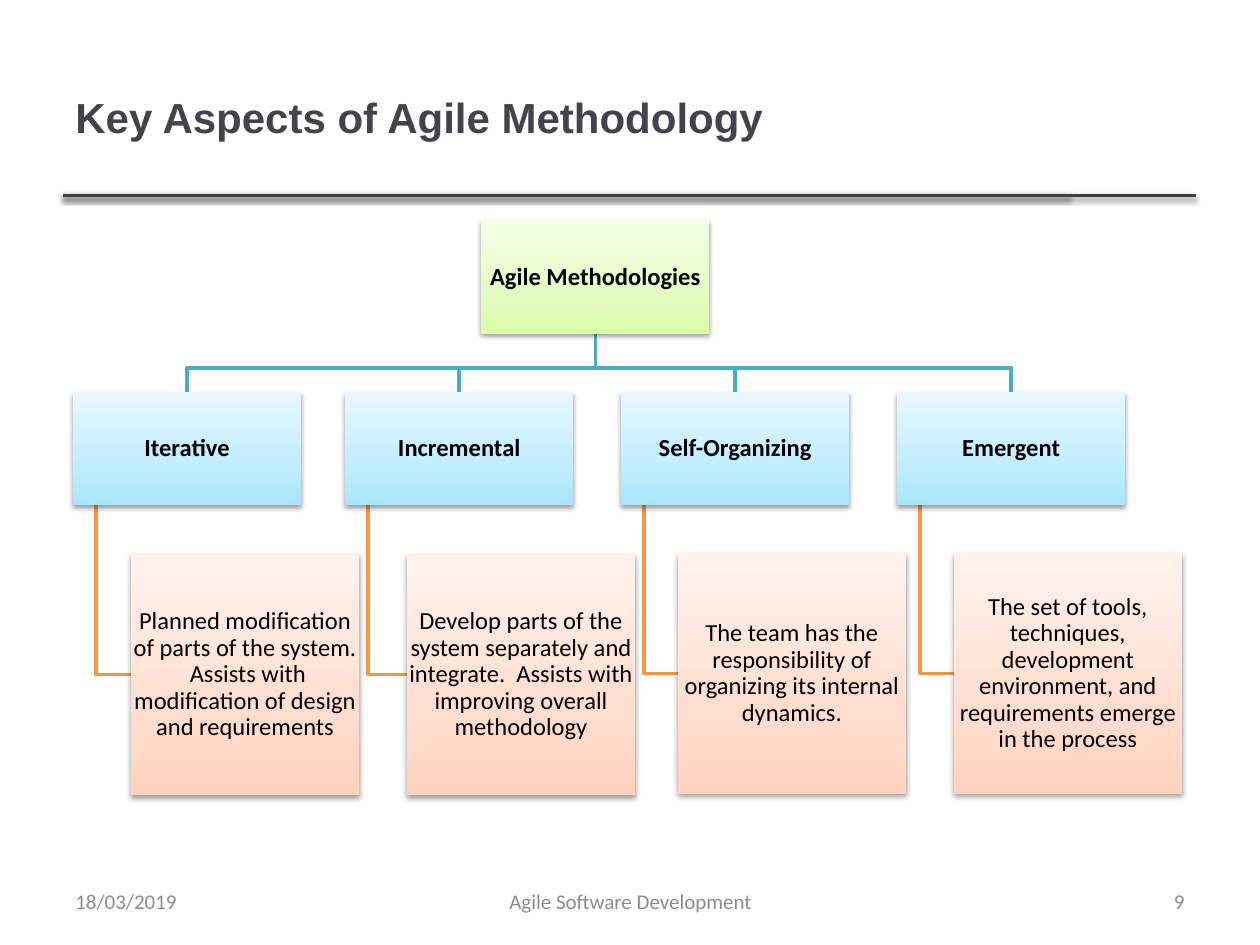
import copy
from dataclasses import dataclass

import pptx
import pptx.dml.color
import pptx.enum.shapes
import pptx.enum.text
import pptx.oxml
import pptx.oxml.ns
import pptx.util
from pptx.util import Inches

ALIGN = pptx.enum.text.PP_ALIGN


@dataclass(frozen=True)
class Theme:
    title_font: str = "Arial"
    body_font: str = "Calibri"
    title_size: float = 24
    box_size: float = 14
    footer_size: float = 12
    line_width: float = 2
    title: str = "46424D"
    text: str = "000000"
    footer: str = "8C8C8C"
    rule: str = "404040"
    aspect_link: str = "4BACC6"
    detail_link: str = "F79646"
    root_fill: tuple[str, ...] = ("DAFDA7", "E4FCC2", "F5FFE7")
    aspect_fill: tuple[str, ...] = ("A7E6FF", "C1EDFF", "E7F8FF")
    detail_fill: tuple[str, ...] = ("FFD2BD", "FFDED0", "FFF2ED")
    stops: tuple[float, ...] = (0, 0.35, 1)


@dataclass(frozen=True)
class Box:
    left: float
    top: float
    width: float
    height: float

    @property
    def center(self) -> float:
        return self.left + self.width / 2

    @property
    def middle(self) -> float:
        return self.top + self.height / 2

    @property
    def bottom(self) -> float:
        return self.top + self.height

    def lengths(self) -> tuple:
        return tuple(Inches(n) for n in (self.left, self.top, self.width, self.height))


@dataclass(frozen=True)
class Aspect:
    name: str
    detail: str
    left: float
    detail_left: float
    detail_top: float

    @property
    def box(self) -> Box:
        return Box(self.left, ASPECT_TOP, BOX_WIDTH, BOX_HEIGHT)

    @property
    def detail_box(self) -> Box:
        return Box(self.detail_left, self.detail_top, BOX_WIDTH, DETAIL_HEIGHT)


@dataclass(frozen=True)
class Footer:
    text: str
    left: float
    width: float
    align: ALIGN


THEME = Theme()
BOX_WIDTH, BOX_HEIGHT, DETAIL_HEIGHT = 1.81, 0.9, 1.91
ASPECT_TOP, BRANCH_TOP, STEM_INDENT = 3.11, 2.92, 0.18
ROOT = Box(3.82, 1.75, BOX_WIDTH, BOX_HEIGHT)
ASPECTS = (
    Aspect("Iterative", "Planned modification of parts of the system.  Assists with "
           "modification of design and requirements", 0.58, 1.04, 4.4),
    Aspect("Incremental", "Develop parts of the system separately and integrate.  Assists with "
           "improving overall methodology", 2.74, 3.23, 4.4),
    Aspect("Self-Organizing", "The team has the responsibility of organizing its internal "
           "dynamics.", 4.93, 5.38, 4.39),
    Aspect("Emergent", "The set of tools, techniques, development environment, and "
           "requirements emerge in the process", 7.12, 7.57, 4.39),
)
FOOTERS = (
    Footer("18/03/2019", 0.5, 2.33, ALIGN.LEFT),
    Footer("Agile Software Development", 3.42, 3.17, ALIGN.CENTER),
    Footer("9", 7.17, 2.33, ALIGN.RIGHT),
)


def rgb(color: str) -> pptx.dml.color.RGBColor:
    return pptx.dml.color.RGBColor.from_string(color)


def add_shadow(shape) -> None:
    shape._element.spPr.append(pptx.oxml.parse_xml(
        f'<a:effectLst {pptx.oxml.ns.nsdecls("a")}>'
        '<a:outerShdw blurRad="39370" dist="20320" dir="5400000" rotWithShape="0">'
        '<a:srgbClr val="000000"><a:alpha val="38000"/></a:srgbClr>'
        '</a:outerShdw></a:effectLst>'))


def style_line(shape, color: str) -> None:
    shape.line.color.rgb = rgb(color)
    shape.line.width = pptx.util.Pt(THEME.line_width)


def write(shape, text: str, size: float, color: str, font: str, align: ALIGN, bold: bool = False):
    frame = shape.text_frame
    frame.word_wrap = True
    frame.vertical_anchor = pptx.enum.text.MSO_ANCHOR.MIDDLE
    para = frame.paragraphs[0]
    para.text = text
    para.alignment = align
    para.font.name = font
    para.font.size = pptx.util.Pt(size)
    para.font.bold = bold
    para.font.color.rgb = rgb(color)
    return frame


def add_rule(page, right: float) -> None:
    rule = page.shapes.add_connector(
        pptx.enum.shapes.MSO_CONNECTOR.STRAIGHT,
        Inches(0.5), Inches(1.55), Inches(right), Inches(1.55))
    style_line(rule, THEME.rule)
    add_shadow(rule)


def add_link(page, points: list[tuple[float, float]], color: str) -> None:
    start, *others = [(Inches(x), Inches(y)) for x, y in points]
    builder = page.shapes.build_freeform(*start)
    builder.add_line_segments(others, close=False)
    link = builder.convert_to_shape()
    link.fill.background()
    link.shadow.inherit = False
    style_line(link, color)


def add_box(page, box: Box, text: str, colors: tuple[str, ...], bold: bool) -> None:
    shape = page.shapes.add_shape(pptx.enum.shapes.MSO_SHAPE.RECTANGLE, *box.lengths())
    shape.fill.gradient()
    shape.fill.gradient_angle = 90
    stop_list = shape._element.spPr.find(".//" + pptx.oxml.ns.qn("a:gsLst"))
    stop_list.insert(1, copy.deepcopy(stop_list[0]))
    for stop, position, color in zip(shape.fill.gradient_stops, THEME.stops, colors):
        stop.position = position
        stop.color.rgb = rgb(color)
    shape.line.fill.background()
    add_shadow(shape)
    frame = write(shape, text, THEME.box_size, THEME.text, THEME.body_font, ALIGN.CENTER, bold)
    frame.margin_left = frame.margin_right = Inches(0.01)
    frame.margin_top = frame.margin_bottom = Inches(0.01)
    frame.paragraphs[0].line_spacing = 0.9


def main() -> None:
    deck = pptx.Presentation()
    deck.slide_width, deck.slide_height = Inches(10), Inches(7.5)
    page = deck.slides.add_slide(deck.slide_layouts[6])

    for right in (8.49, 9.49):
        add_rule(page, right)
    title = page.shapes.add_textbox(*Box(0.5, 0.3, 7.98, 1.25).lengths())
    write(title, "Key Aspects of Agile Methodology", THEME.title_size, THEME.title,
          THEME.title_font, ALIGN.LEFT, True)
    for footer in FOOTERS:
        label = page.shapes.add_textbox(*Box(footer.left, 6.95, footer.width, 0.4).lengths())
        write(label, footer.text, THEME.footer_size, THEME.footer, THEME.body_font, footer.align)

    for aspect in ASPECTS:
        box, detail = aspect.box, aspect.detail_box
        stem = box.left + STEM_INDENT
        add_link(page, [(stem, box.bottom), (stem, detail.middle), (detail.left, detail.middle)],
                 THEME.detail_link)
        add_link(page, [(ROOT.center, ROOT.bottom), (ROOT.center, BRANCH_TOP),
                        (box.center, BRANCH_TOP), (box.center, box.top)], THEME.aspect_link)

    add_box(page, ROOT, "Agile Methodologies", THEME.root_fill, True)
    for aspect in ASPECTS:
        add_box(page, aspect.box, aspect.name, THEME.aspect_fill, True)
        add_box(page, aspect.detail_box, aspect.detail, THEME.detail_fill, False)
    deck.save("out.pptx")


if __name__ == "__main__":
    main()
